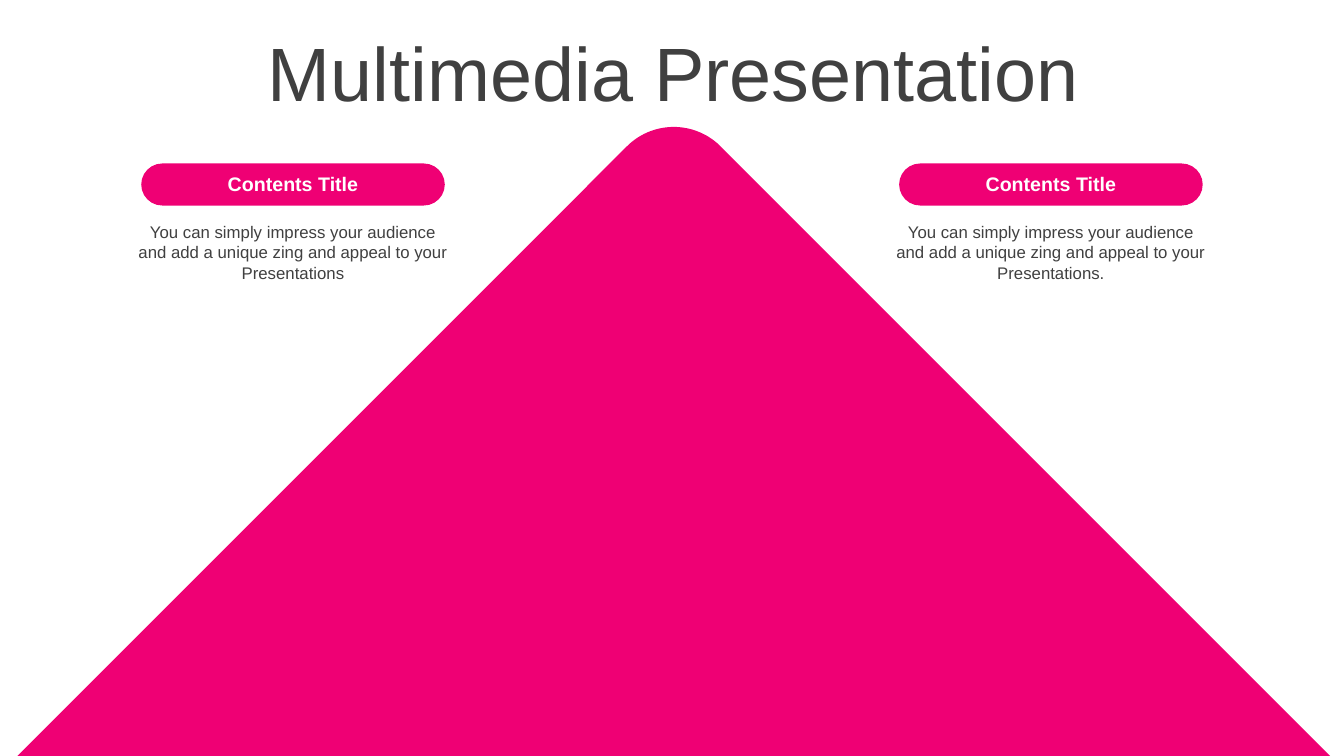
from dataclasses import dataclass
from math import cos, pi, sin

from pptx import Presentation
from pptx.dml.color import RGBColor
from pptx.enum.shapes import MSO_SHAPE
from pptx.enum.text import MSO_ANCHOR, PP_ALIGN
from pptx.util import Cm, Pt

PILL = MSO_SHAPE.ROUNDED_RECTANGLE
MIDDLE = MSO_ANCHOR.MIDDLE
TOP = MSO_ANCHOR.TOP
CENTER = PP_ALIGN.CENTER


@dataclass(frozen=True)
class Theme:
    pink: RGBColor = RGBColor(0xEF, 0x00, 0x74)
    dark: RGBColor = RGBColor(0x40, 0x40, 0x40)
    white: RGBColor = RGBColor(0xFF, 0xFF, 0xFF)
    font: str = "Arial"
    title: Pt = Pt(54)
    label: Pt = Pt(14)
    body: Pt = Pt(12)


THEME = Theme()


def paint(shape):
    """Fill a shape with the accent colour, without line or shadow."""
    shape.fill.solid()
    shape.fill.fore_color.rgb = THEME.pink
    shape.line.fill.background()
    shape.shadow.inherit = False


def write(shapes, box, text, size, color, bold=False, anchor=TOP):
    """Add a centred, wrapping line of text; box is in centimetres."""
    frame = shapes.add_textbox(*map(Cm, box)).text_frame
    frame.word_wrap = True
    frame.vertical_anchor = anchor
    frame.text = text
    para = frame.paragraphs[0]
    para.alignment = CENTER
    font = para.runs[0].font
    font.name, font.size, font.bold = THEME.font, size, bold
    font.color.rgb = color
    return para


def add_peak(shapes, box, radius=1.67, steps=48):
    """Draw a 45-degree peak with a rounded top, filling the box."""
    left, top, width, height = box
    mid, base = left + width / 2, top + height
    angles = [pi / 2 * (i / steps - 0.5) for i in range(steps + 1)]
    cap = [(mid + radius * sin(a), top + radius * (1 - cos(a))) for a in angles]
    points = [(Cm(x), Cm(y)) for x, y in cap + [(left + width, base)]]
    pen = shapes.build_freeform(Cm(left), Cm(base))
    pen.add_line_segments(points, close=True)
    paint(pen.convert_to_shape())


def add_title(shapes, box, text):
    para = write(shapes, box, text, THEME.title, THEME.dark, anchor=MIDDLE)
    para.line_spacing = 0.9
    para.space_before = Pt(10)


def add_panel(shapes, box, label, body):
    """Group a pill heading with the text below it; box is the pill."""
    left, top, width, height = box
    parts = shapes.add_group_shape().shapes

    # Pill
    pill = parts.add_shape(PILL, *map(Cm, box))
    pill.adjustments[0] = 0.5
    paint(pill)

    # Body and heading
    write(parts, (left - 0.32, top + 1.35, width + 0.64, 1.8),
          body, THEME.body, THEME.dark)
    write(parts, (left + 0.25, top + 0.1, width - 0.5, height - 0.2),
          label, THEME.label, THEME.white, bold=True)


def main():
    deck = Presentation()
    deck.slide_width, deck.slide_height = Cm(33.87), Cm(19.05)
    shapes = deck.slides.add_slide(deck.slide_layouts[6]).shapes

    add_peak(shapes, (0.44, 3.2, 33.08, 15.85))
    add_title(shapes, (0.89, 0.94, 32.16, 2), "Multimedia Presentation")

    # Side panels
    body = ("You can simply impress your audience and add a unique "
            "zing and appeal to your Presentations")
    for left, end in ((22.66, "."), (3.56, "")):
        add_panel(shapes, (left, 4.12, 7.65, 1.06), "Contents Title", body + end)

    deck.save("out.pptx")


if __name__ == "__main__":
    main()
